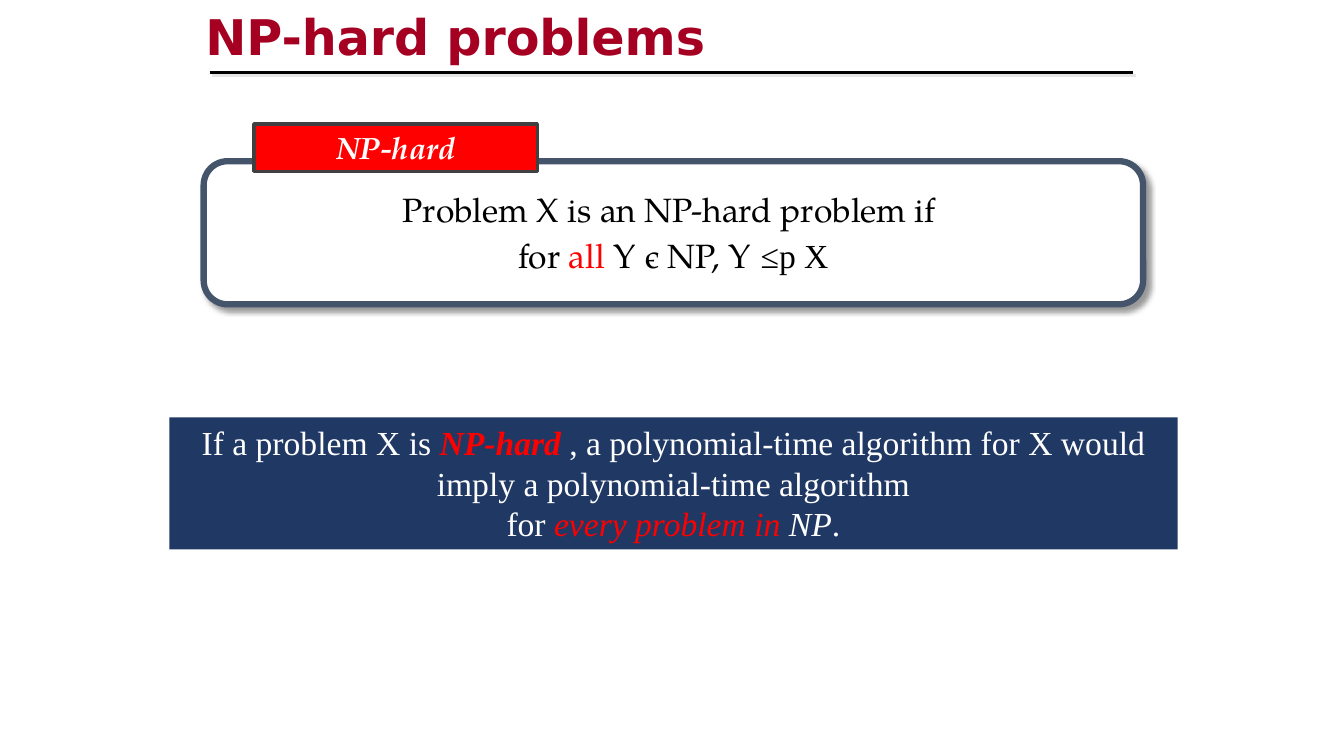
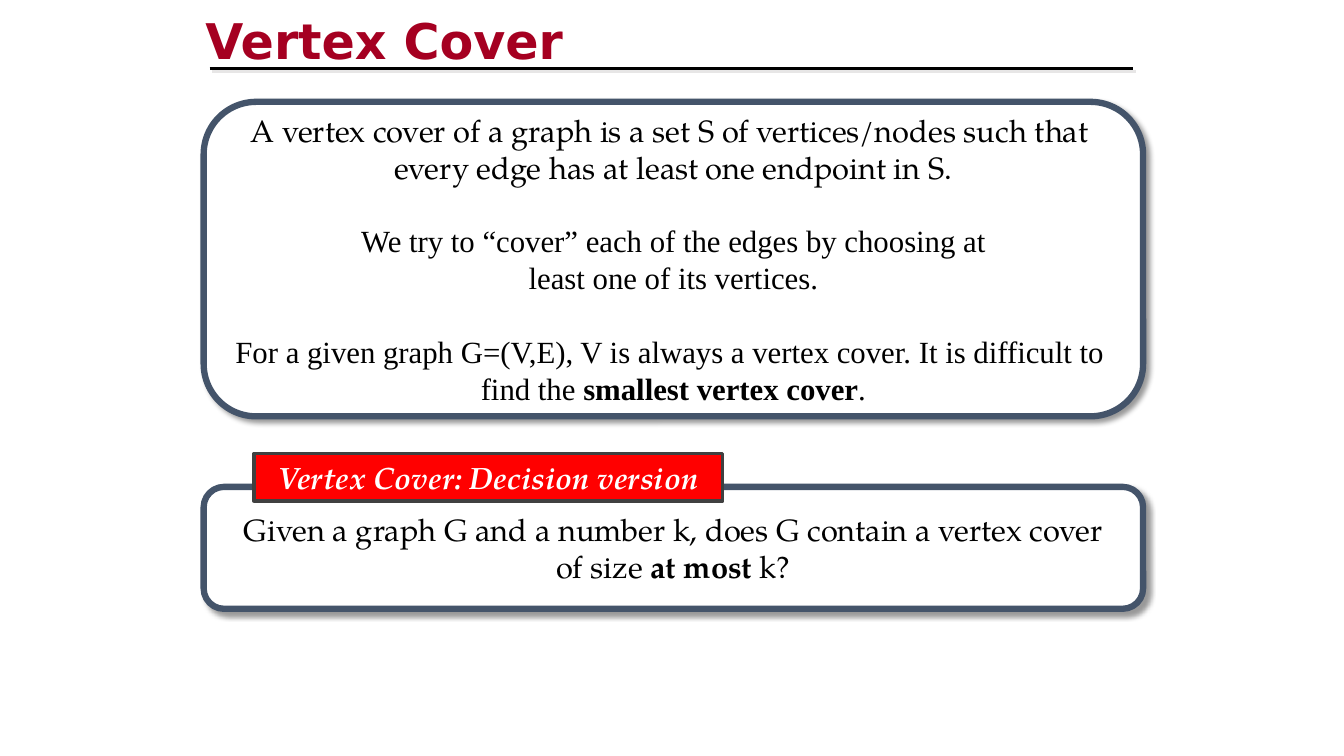
from lxml import etree
from pptx import Presentation
from pptx.dml.color import RGBColor
from pptx.enum import shapes, text
from pptx.oxml.ns import qn
from pptx.util import Inches, Pt

COLORS = {
    "title": "A50021", "ink": "000000", "paper": "FFFFFF", "red": "FF0000",
    "border": "44546A", "label_border": "404040", "banner": "203864",
    "soft": "E7E6E6",
}
SANS, SERIF, TIMES = "DejaVu Sans", "TeX Gyre Pagella", "Times New Roman"
RECT = shapes.MSO_SHAPE.RECTANGLE
ROUND = shapes.MSO_SHAPE.ROUNDED_RECTANGLE


def rgb(name):
    return RGBColor.from_string(COLORS[name])


def add_run(p, content, size=22, font=SERIF, color="ink", bold=False, italic=False):
    r = p.add_run()
    r.text = content
    r.font.size = Pt(size)
    r.font.name = font
    r.font.bold = bold
    r.font.italic = italic
    r.font.color.rgb = rgb(color)
    return r


def fill_shadow(effects, color, opacity, blur, distance):
    shadow = etree.SubElement(
        effects, qn("a:outerShdw"), blurRad=str(Pt(blur)), dist=str(Pt(distance)),
        dir=str(45 * 60000), algn="tl", rotWithShape="0")
    clr = etree.SubElement(shadow, qn("a:srgbClr"), val=COLORS[color])
    etree.SubElement(clr, qn("a:alpha"), val=str(opacity * 1000))


class Deck:
    LEFT, WIDTH = 15.15, 69.9
    LABEL_LEFT, LABEL_HEIGHT = 18.9, 6.27

    def __init__(self):
        self.prs = Presentation()
        self.prs.slide_width, self.prs.slide_height = Inches(13.33), Inches(7.5)

    def x(self, share):
        return round(self.prs.slide_width * share / 100)

    def y(self, share):
        return round(self.prs.slide_height * share / 100)

    def box(self, left, top, width, height):
        return self.x(left), self.y(top), self.x(width), self.y(height)

    def slide(self, title, title_top, rule_top):
        self.s = self.prs.slides.add_slide(self.prs.slide_layouts[6])
        self.title(title, title_top)
        self.rule(rule_top)

    def title(self, content, top):
        tf = self.s.shapes.add_textbox(*self.box(14.55, top, 63.77, 8.93)).text_frame
        tf.word_wrap = True
        r = add_run(tf.paragraphs[0], content, size=35.1, font=SANS,
                    color="title", bold=True)
        effects = etree.Element(qn("a:effectLst"))
        fill_shadow(effects, "soft", 100, 0, 2.8)
        r.font._element.find(qn("a:latin")).addprevious(effects)

    def rule(self, top):
        line = self.s.shapes.add_connector(
            shapes.MSO_CONNECTOR.STRAIGHT,
            self.x(15.6), self.y(top), self.x(84.32), self.y(top))
        line.line.color.rgb = rgb("ink")
        line.line.width = Pt(2.25)
        effects = etree.SubElement(line._element.spPr, qn("a:effectLst"))
        fill_shadow(effects, "soft", 100, 0, 2.8)

    def shape(self, kind, place, fill, border=None, weight=0):
        sp = self.s.shapes.add_shape(kind, *self.box(*place))
        sp.shadow.inherit = False
        sp.fill.solid()
        sp.fill.fore_color.rgb = rgb(fill)
        if border:
            sp.line.color.rgb = rgb(border)
            sp.line.width = Pt(weight)
        else:
            sp.line.fill.background()
        return sp

    def set_text(self, sp, paragraphs, anchor, wrap=True, gaps=(), **base):
        tf = sp.text_frame
        tf.word_wrap = wrap
        tf.vertical_anchor = anchor
        for i, runs in enumerate(paragraphs):
            p = tf.add_paragraph() if i else tf.paragraphs[0]
            p.alignment = text.PP_ALIGN.CENTER
            if i in gaps:
                p.space_before = Pt(26.4)
            for content, fmt in runs:
                add_run(p, content, **{**base, **fmt})

    def frame(self, top, height, paragraphs, gaps=(), **base):
        sp = self.shape(ROUND, (self.LEFT, top, self.WIDTH, height),
                        "paper", "border", 4.5)
        sp.adjustments[0] = 0.167
        fill_shadow(sp._element.spPr.find(qn("a:effectLst")), "ink", 40, 4, 4)
        self.set_text(sp, paragraphs, text.MSO_ANCHOR.MIDDLE, False, gaps, **base)

    def label(self, top, width, content):
        sp = self.shape(RECT, (self.LABEL_LEFT, top, width, self.LABEL_HEIGHT),
                        "red", "label_border", 2.5)
        self.set_text(sp, [[(content, {})]], text.MSO_ANCHOR.TOP,
                      color="paper", bold=True, italic=True)

    def banner(self, top, height, paragraphs):
        sp = self.shape(RECT, (12.6, top, 75.02, height), "banner")
        self.set_text(sp, paragraphs, text.MSO_ANCHOR.TOP,
                      size=24, font=TIMES, color="paper")


def np_hard(deck):
    deck.slide("NP-hard problems", 0.13, 9.6)
    deck.frame(21.33, 18.93, [
        [("Problem X is an NP-hard problem if ", {})],
        [("for ", {}), ("all", {"color": "red"}), (" Y є NP, Y", {}),
         (" ", {"size": 28}), ("≤p X", {"font": TIMES})],
    ], size=24)
    deck.label(16.4, 21.08, "NP-hard")
    deck.banner(55.2, 17.47, [
        [("If a problem X is ", {}),
         ("NP-hard ", {"color": "red", "bold": True, "italic": True}),
         (", a polynomial-time algorithm for X would imply "
          "a polynomial-time algorithm", {})],
        [("for ", {}), ("every problem in", {"color": "red", "italic": True}),
         (" NP", {"italic": True}), (".", {})],
    ])


def vertex_cover(deck):
    times = {"font": TIMES}
    deck.slide("Vertex Cover", 0.67, 9.07)
    deck.frame(64.4, 16.13, [
        [("Given a graph G and a number k, does G contain a vertex cover", {})],
        [("of size ", {}), ("at most", {"bold": True}), (" k?", {})],
    ])
    deck.label(60, 34.88, "Vertex Cover: Decision version")
    deck.frame(13.47, 41.6, [
        [("A vertex cover of a graph is a set S of vertices/nodes such that ", {})],
        [("every edge has at least one endpoint in S.", {})],
        [("We try to “cover” each of the edges by choosing at", times)],
        [("least one of its vertices.", times)],
        [("For a given graph G=(V,E), V is always a vertex cover. "
          "It is difficult to ", times)],
        [("find the ", times),
         ("smallest vertex cover", {"font": TIMES, "bold": True}), (".", times)],
    ], gaps=(2, 4))


def main():
    deck = Deck()
    np_hard(deck)
    vertex_cover(deck)
    deck.prs.save("out.pptx")


if __name__ == "__main__":
    main()
